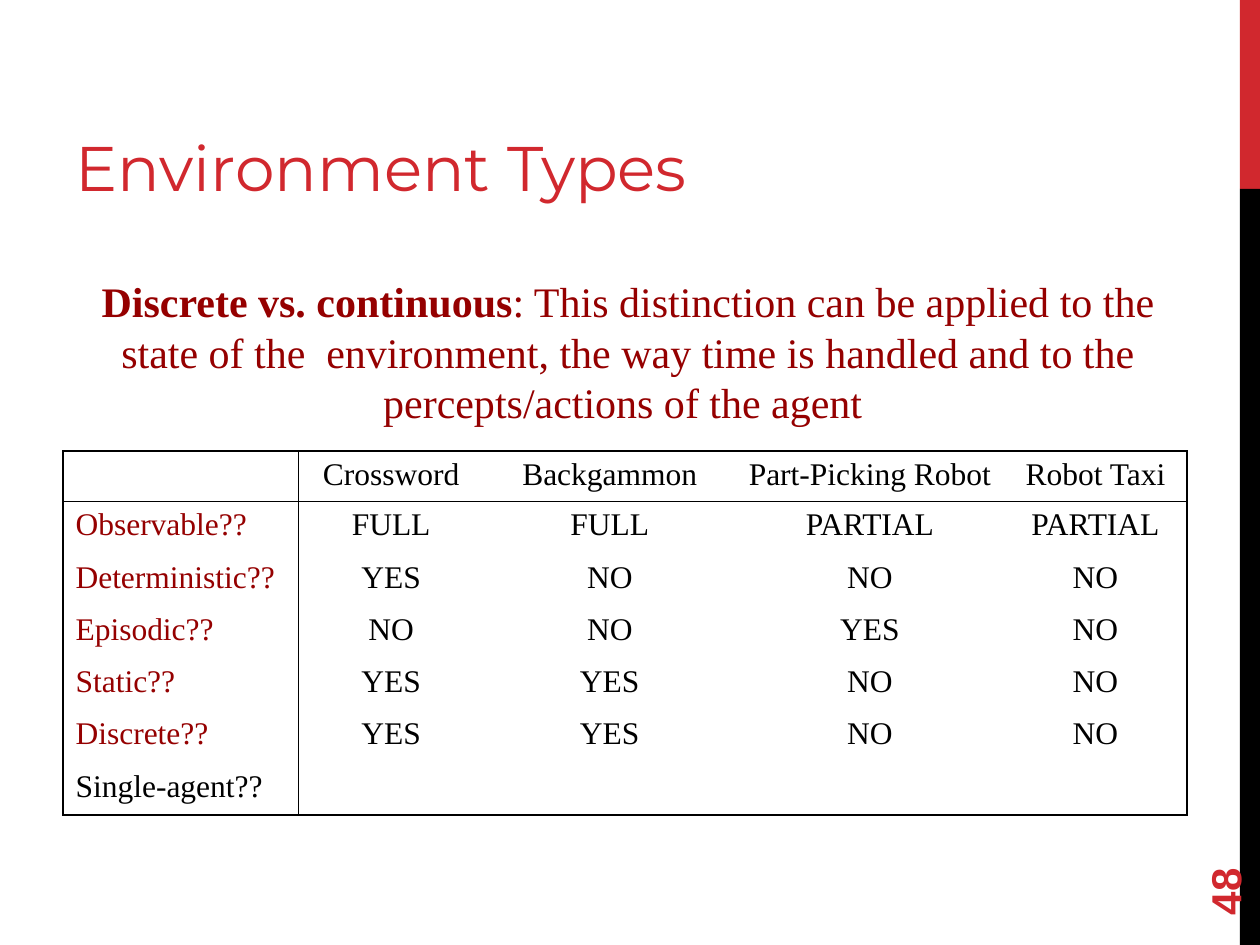
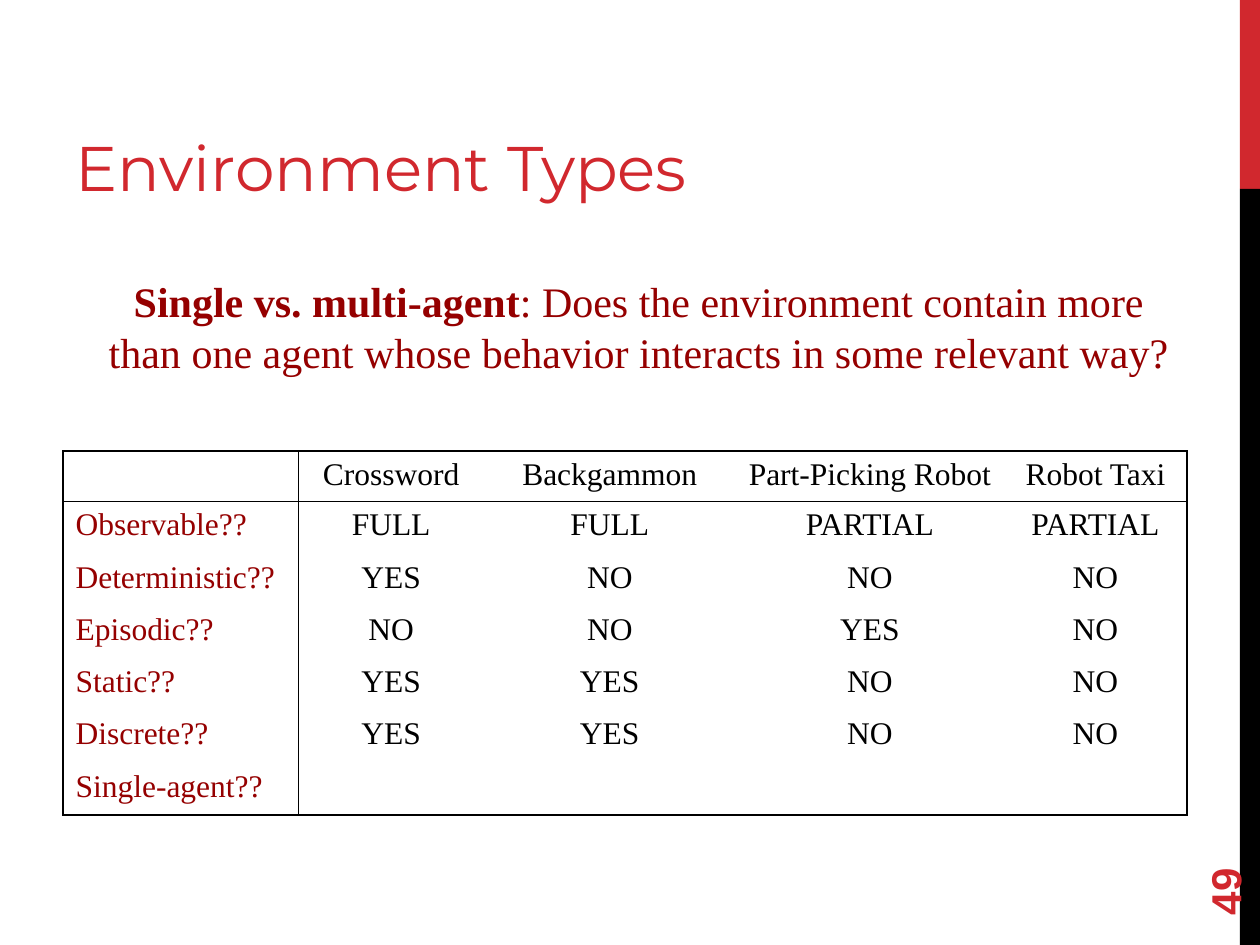
from lxml.etree import SubElement
from pptx import Presentation
from pptx.dml.color import RGBColor
from pptx.enum.shapes import MSO_SHAPE as Shape
from pptx.enum.text import MSO_ANCHOR as Anchor, MSO_AUTO_SIZE as AutoSize, PP_ALIGN as Align
from pptx.oxml.ns import qn
from pptx.util import Inches, Pt

RED = RGBColor(0xD1, 0x28, 0x2E)
DARK_RED = RGBColor(0x95, 0x00, 0x00)
BLACK = RGBColor(0x00, 0x00, 0x00)
WHITE = RGBColor(0xFF, 0xFF, 0xFF)
SERIF = "Times New Roman"

deck = Presentation()
deck.slide_width, deck.slide_height = Inches(10), Inches(7.5)
COLUMN, ROW = deck.slide_width / 100, deck.slide_height / 100


def place(left, top, width, height):
    return round(left * COLUMN), round(top * ROW), round(width * COLUMN), round(height * ROW)


def write(frame, text, size=18, font=SERIF, color=BLACK, bold=False, align=Align.LEFT, anchor=Anchor.TOP):
    frame.word_wrap = True
    frame.vertical_anchor = anchor
    para = frame.paragraphs[0]
    para.alignment = align
    span = para.add_run()
    span.text = text
    span.font.size, span.font.name, span.font.bold = Pt(size), font, bold
    span.font.color.rgb = color


bands = [(0, 20, RED), (20, 80, BLACK)]
column_widths = [18.7, 14.7, 20, 21.3, 14.5]
row_heights = [5.07] + [5.53] * 6
environments = [
    ["", "Crossword", "Backgammon", "Part-Picking Robot", "Robot Taxi"],
    ["Observable??", "FULL", "FULL", "PARTIAL", "PARTIAL"],
    ["Deterministic??", "YES", "NO", "NO", "NO"],
    ["Episodic??", "NO", "NO", "YES", "NO"],
    ["Static??", "YES", "YES", "NO", "NO"],
    ["Discrete??", "YES", "YES", "NO", "NO"],
    ["Single-agent??", "", "", "", ""],
]
last_row, last_column = len(row_heights) - 1, len(column_widths) - 1

topics = [
    (48, "Discrete vs. continuous",
     ": This distinction can be applied to the state of the  environment, the way time is handled"
     " and to the percepts/actions of the agent ",
     (6, 28.53, 87.7, 17.47), BLACK),
    (49, "Single vs. multi-agent",
     ": Does the environment contain more than one agent whose behavior interacts in some relevant way?",
     (6.9, 28.53, 87.6, 12.13), DARK_RED),
]

for number, term, question, question_area, single_agent_color in topics:
    page = deck.slides.add_slide(deck.slide_layouts[5])

    for top, height, color in bands:
        band = page.shapes.add_shape(Shape.RECTANGLE, *place(98.4, top, 1.6, height))
        band.shadow.inherit = False
        band.fill.solid()
        band.fill.fore_color.rgb = color
        band.line.fill.background()

    title = page.shapes.title
    title.left, title.top, title.width, title.height = place(5, 2.27, 63.3, 20)
    title.text_frame.auto_size = AutoSize.NONE
    write(title.text_frame, "Environment Types", size=36, font="Montserrat", color=RED, anchor=Anchor.BOTTOM)

    number_box = page.shapes.add_textbox(*place(90, 85.87, 14.4, 5.33))
    number_box.rotation = 270
    write(number_box.text_frame, str(number), size=24, font="Arial", color=RED, bold=True, anchor=Anchor.MIDDLE)

    area = place(5, 47.73, sum(column_widths), sum(row_heights))
    table = page.shapes.add_table(len(row_heights), len(column_widths), *area).table
    table.first_row = table.horz_banding = False
    for column, width in zip(table.columns, column_widths):
        column.width = round(width * COLUMN)
    for row, height in zip(table.rows, row_heights):
        row.height = round(height * ROW)

    for r, values in enumerate(environments):
        for c, value in enumerate(values):
            cell = table.cell(r, c)
            if value:
                color = BLACK if c or r == 0 else single_agent_color if r == last_row else DARK_RED
                write(cell.text_frame, value, color=color, align=Align.CENTER if c else Align.LEFT)
            else:
                ending = SubElement(cell.text_frame.paragraphs[0]._p, qn("a:endParaRPr"), sz="1800")
                SubElement(ending, qn("a:latin"), typeface=SERIF)

            properties = cell._tc.get_or_add_tcPr()
            edges = {"L": c in (0, 1), "R": c in (0, last_column), "T": r in (0, 1), "B": r in (0, last_row)}
            for side, drawn in edges.items():
                edge = SubElement(properties, qn(f"a:ln{side}"), w=str(Pt(1)))
                if drawn:
                    ink = SubElement(edge, qn("a:solidFill"))
                    SubElement(ink, qn("a:srgbClr"), val=str(BLACK))
                else:
                    SubElement(edge, qn("a:noFill"))
            cell.fill.solid()
            cell.fill.fore_color.rgb = WHITE

    question_box = page.shapes.add_textbox(*place(*question_area))
    for text, bold in [(term, True), (question, False)]:
        write(question_box.text_frame, text, size=24, color=DARK_RED, bold=bold, align=Align.CENTER)

deck.save("out.pptx")
